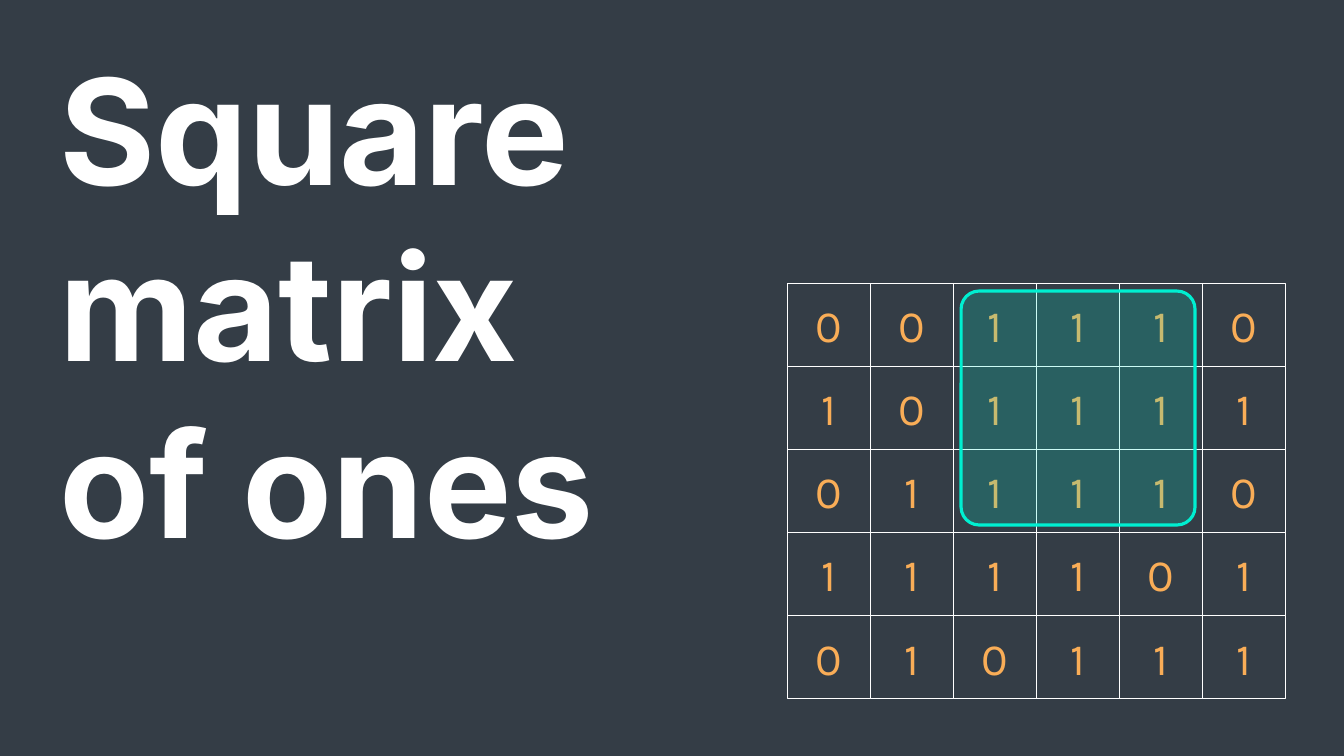
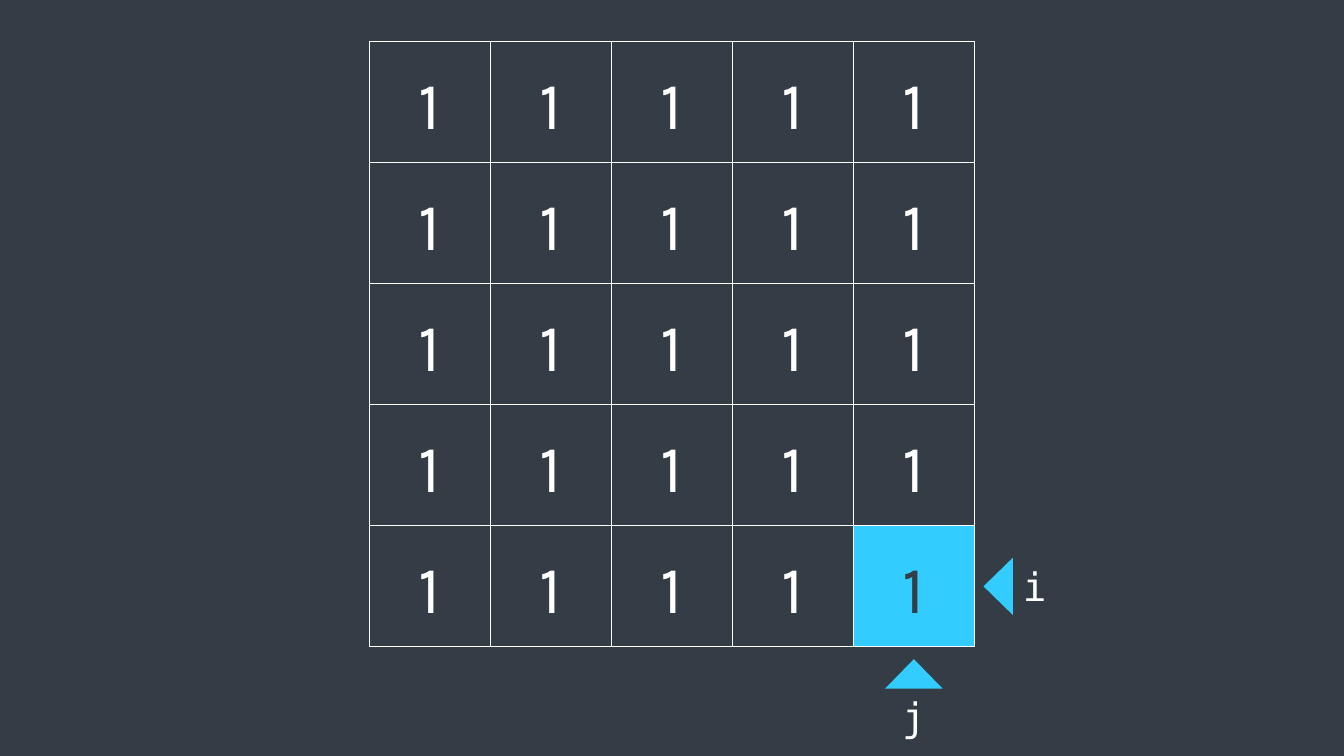
from lxml import etree
from pptx import Presentation
from pptx.dml.color import RGBColor
from pptx.enum.shapes import MSO_SHAPE
from pptx.enum.text import MSO_ANCHOR, PP_ALIGN
from pptx.oxml.ns import qn
from pptx.util import Pt

SLATE, WHITE, ORANGE, TEAL, SKY = "343D46", "FFFFFF", "F9AD57", "00EFD1", "33CCFF"
TITLE_FONT, CELL_FONT, INDEX_FONT = "Inter", "Karla", "DejaVu Sans Mono"


def rgb(color):
    """Turn a hex string into a colour."""
    return RGBColor.from_string(color)


def new_slide(prs):
    """Add a blank slide with the shared dark background."""
    slide = prs.slides.add_slide(prs.slide_layouts[6])
    slide.background.fill.solid()
    slide.background.fill.fore_color.rgb = rgb(SLATE)
    return slide


def write(shape, text, size, font, color, align=PP_ALIGN.LEFT, bold=False):
    """Put one styled paragraph into a shape or text box."""
    shape.text_frame.word_wrap = True
    paragraph = shape.text_frame.paragraphs[0]
    paragraph.alignment = align
    run = paragraph.add_run()
    run.text = text
    run.font.size, run.font.name, run.font.bold = Pt(size), font, bold
    run.font.color.rgb = rgb(color)


def add_text(slide, box, *args, **style):
    """Add a text box in box (left, top, width, height)."""
    write(slide.shapes.add_textbox(*map(Pt, box)), *args, **style)


def add_shape(slide, kind, box, fill, line=None, line_width=0.75):
    """Add a flat preset shape; without a line colour it has no outline."""
    shape = slide.shapes.add_shape(kind, *map(Pt, box))
    shape.shadow.inherit = False
    shape.fill.solid()
    shape.fill.fore_color.rgb = rgb(fill)
    if line:
        shape.line.color.rgb = rgb(line)
        shape.line.width = Pt(line_width)
    else:
        shape.line.fill.background()
    return shape


def cell_box(origin, side, row, col, span=1):
    """Return the box of a square block of span by span cells."""
    left, top = origin
    return left + col * side, top + row * side, span * side, span * side


def matrix(slide, origin, side, rows, size, color, current=None):
    """Draw the digits of rows as a grid; the current (row, col) is filled."""
    for r, digits in enumerate(rows):
        for c, digit in enumerate(digits):
            fill, ink = (SKY, SLATE) if (r, c) == current else (SLATE, color)
            cell = add_shape(slide, MSO_SHAPE.RECTANGLE,
                             cell_box(origin, side, r, c), fill, WHITE)
            cell.text_frame.vertical_anchor = MSO_ANCHOR.MIDDLE
            write(cell, digit, size, CELL_FONT, ink, PP_ALIGN.CENTER)


def highlight(slide, box, inset=5.4):
    """Lay a translucent rounded frame just inside box."""
    left, top, width, height = box
    frame = add_shape(slide, MSO_SHAPE.ROUNDED_RECTANGLE,
                      (left + inset, top + inset, width - 2 * inset, height - 2 * inset),
                      TEAL, TEAL, 2.25)
    frame.adjustments[0] = 0.077
    color = frame.fill._xPr.find(qn("a:solidFill"))[0]
    etree.SubElement(color, qn("a:alpha")).set("val", "20000")


def index_markers(slide, box):
    """Point at a cell with j from below and i from the right."""
    left, top, width, height = box
    center, middle = left + width / 2, top + height / 2
    right, bottom = left + width, top + height
    base, tip = 41, 21
    add_shape(slide, MSO_SHAPE.ISOSCELES_TRIANGLE,
              (center - base / 2, bottom + 8.8, base, tip), SKY)
    row_arrow = add_shape(slide, MSO_SHAPE.ISOSCELES_TRIANGLE,
                          (right + 17 - base / 2, middle - tip / 2, base, tip), SKY)
    row_arrow.rotation = 270
    label_width, label_height = 96, 41
    add_text(slide, (right + 27.6, middle - label_height / 2, label_width, label_height),
             "i", 28, INDEX_FONT, WHITE)
    add_text(slide, (center - label_width / 2, bottom + 29, label_width, label_height),
             "j", 28, INDEX_FONT, WHITE, align=PP_ALIGN.CENTER)


def title_slide(prs):
    """Title on the left, matrix with its largest square of ones on the right."""
    slide = new_slide(prs)
    add_text(slide, (35.5, 24, 452, 389), "Square matrix of ones",
             105, TITLE_FONT, WHITE, bold=True)
    origin, side = (562.5, 202.5), 59.3
    rows = ["001110", "101111", "011110", "111101", "010111"]
    matrix(slide, origin, side, rows, 32, ORANGE)
    highlight(slide, cell_box(origin, side, 0, 2, span=3))


def index_slide(prs):
    """Matrix of ones with the current cell marked by i and j."""
    slide = new_slide(prs)
    origin, side, current = (264, 30), 86.4, (4, 4)
    matrix(slide, origin, side, ["11111"] * 5, 48, WHITE, current)
    index_markers(slide, cell_box(origin, side, *current))


prs = Presentation()
prs.slide_width, prs.slide_height = Pt(960), Pt(540)
title_slide(prs)
index_slide(prs)
prs.save("out.pptx")
